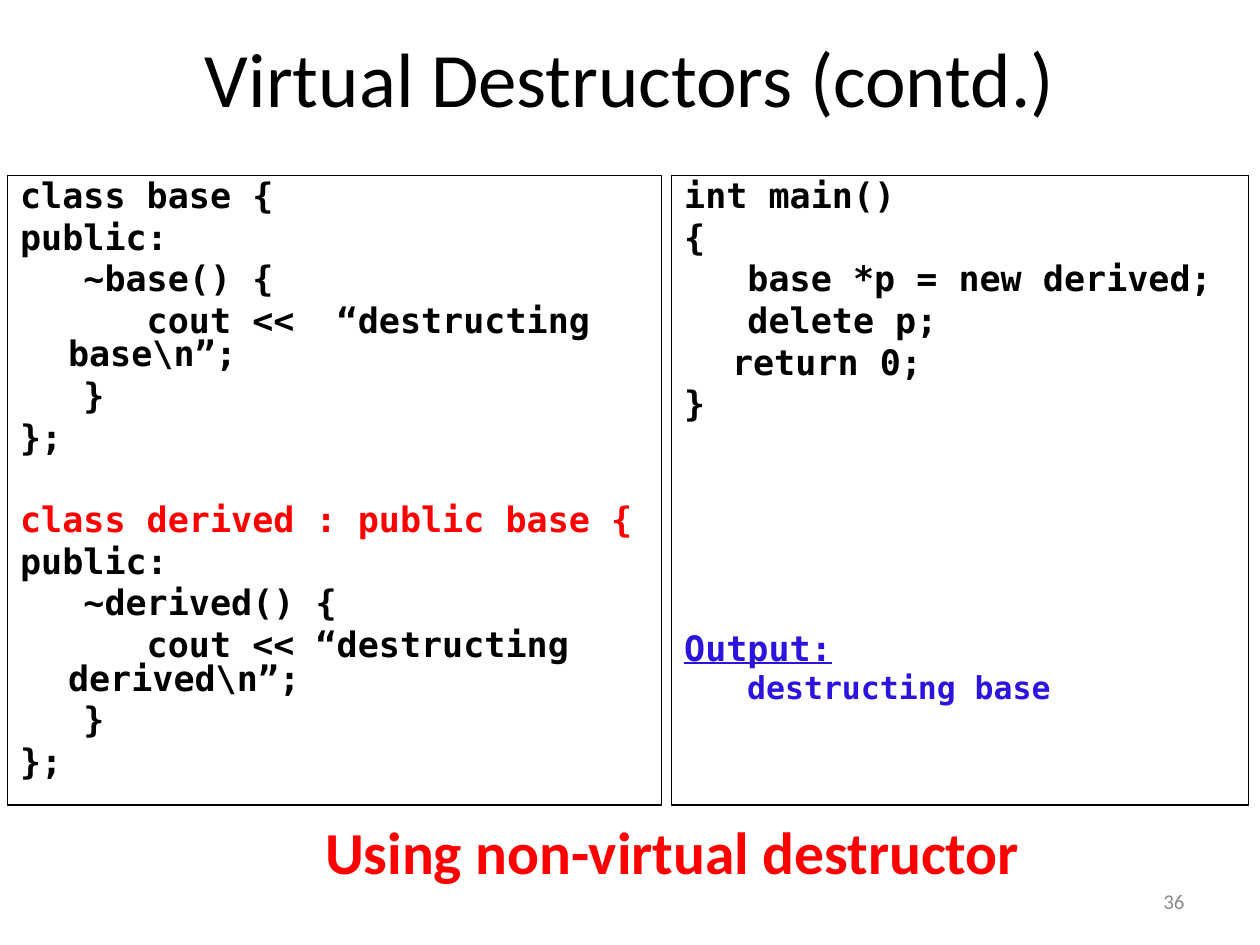
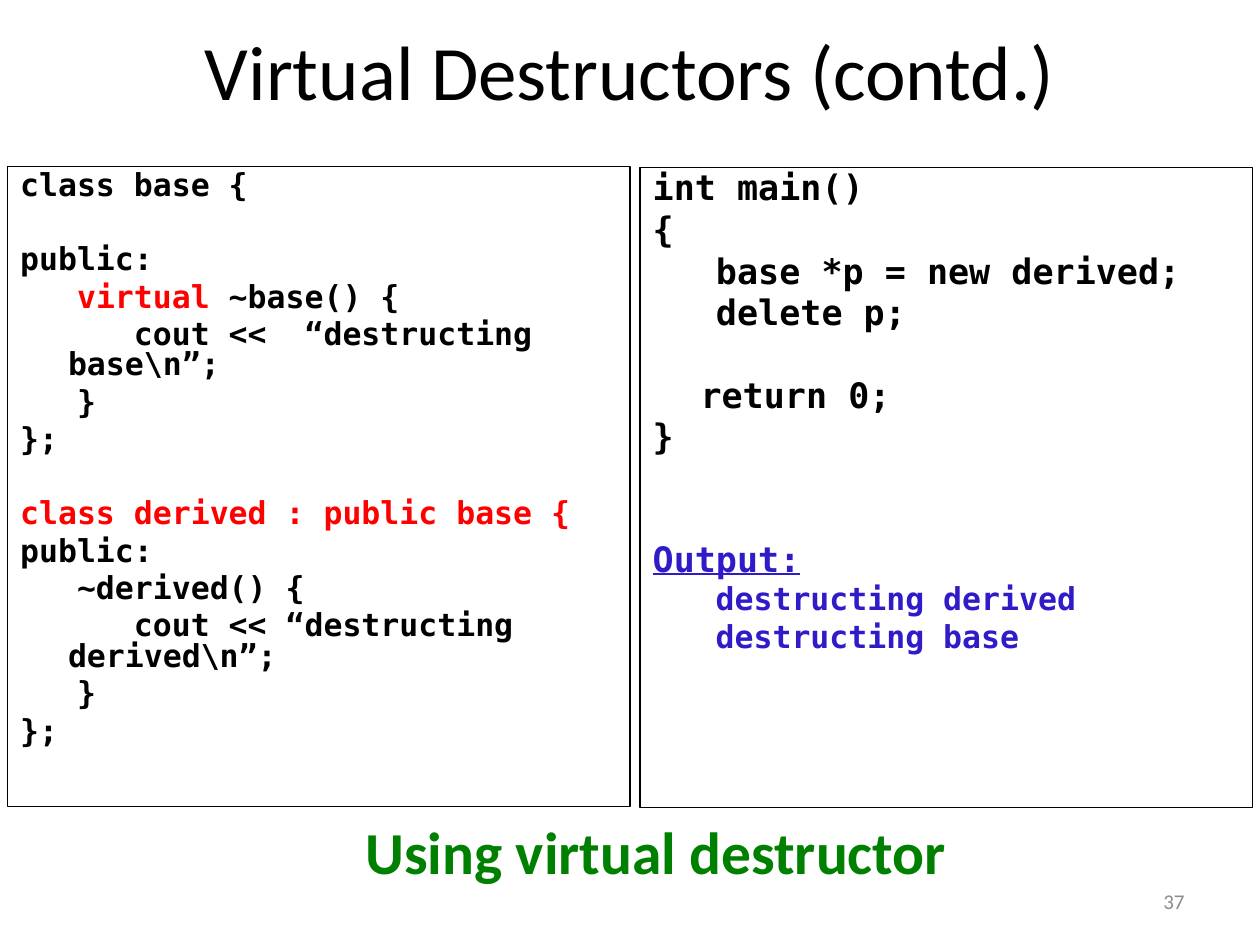
from dataclasses import dataclass, replace

from lxml import etree
from pptx import Presentation
from pptx import util as u
from pptx.dml import color
from pptx.enum import text
from pptx.oxml import ns


@dataclass(frozen=True)
class Theme:
    ink: str = "000000"
    red: str = "FF0000"
    green: str = "008000"
    grey: str = "8C8C8C"
    heading_face: str = "Calibri"
    code_face: str = "DejaVu Sans Mono"
    title_size: int = 44
    caption_size: int = 34
    code_size: int = 20
    small_code_size: int = 18
    number_size: int = 12
    border: float = 0.75
    leading: float = 0.8
    space_ratio: float = 0.23
    pitch_ratio: float = 1.16


THEME = Theme()


@dataclass(frozen=True)
class Line:
    segments: tuple
    size: int = THEME.code_size
    blank_above: int = 0
    level: int = 0
    underline: bool = False


@dataclass(frozen=True)
class Lesson:
    number: str
    title_top: float
    classes: list
    classes_box: tuple
    usage: list
    usage_box: tuple
    caption: str
    caption_color: str
    caption_box: tuple


def line(words, hue=THEME.ink, **extra):
    return Line(((words, hue),), **extra)


def apply(target, values):
    for name, value in values.items():
        setattr(target, name, value)


def place(region, box):
    sides = ("left", "top", "width", "height")
    apply(region, {side: u.Inches(length) for side, length in zip(sides, box)})


def add_run(paragraph, words, hue, face, size, **extra):
    run = paragraph.add_run()
    run.text = words
    apply(run.font, {"name": face, "size": u.Pt(size), **extra})
    run.font.color.rgb = color.RGBColor.from_string(hue)


def draw_title(slide, top):
    title = slide.shapes.title
    place(title, (0.5, top, 9, 1))
    apply(title.text_frame, {
        "auto_size": text.MSO_AUTO_SIZE.NONE,
        "vertical_anchor": text.MSO_ANCHOR.MIDDLE,
    })
    paragraph = title.text_frame.paragraphs[0]
    paragraph.alignment = text.PP_ALIGN.CENTER
    add_run(paragraph, "Virtual Destructors (contd.)", THEME.ink,
            THEME.heading_face, THEME.title_size)


def format_code_line(paragraph, entry, is_first):
    margin, hanging = ((0.38, -0.38), (0.81, -0.31))[entry.level]
    properties = paragraph._p.get_or_add_pPr()
    properties.set("marL", str(u.Inches(margin)))
    properties.set("indent", str(u.Inches(hanging)))
    etree.SubElement(properties, ns.qn("a:buNone"))
    ratio = THEME.space_ratio + entry.blank_above * THEME.pitch_ratio
    apply(paragraph, {
        "level": entry.level,
        "line_spacing": THEME.leading,
        "space_before": u.Pt(0 if is_first else round(entry.size * ratio, 1)),
    })


def draw_code(panel, box, listing):
    place(panel, box)
    panel.line.color.rgb = color.RGBColor.from_string(THEME.ink)
    panel.line.width = u.Pt(THEME.border)
    frame = panel.text_frame
    apply(frame, {
        "auto_size": text.MSO_AUTO_SIZE.NONE,
        "vertical_anchor": text.MSO_ANCHOR.TOP,
        "word_wrap": True,
    })
    for index, entry in enumerate(listing):
        paragraph = frame.add_paragraph() if index else frame.paragraphs[0]
        format_code_line(paragraph, entry, index == 0)
        for words, hue in entry.segments:
            add_run(paragraph, words, hue, THEME.code_face, entry.size,
                    bold=True, underline=entry.underline)


def draw_label(slide, box, words, hue, size, alignment, anchor, bold=False):
    label = slide.shapes.add_textbox(0, 0, 0, 0)
    place(label, box)
    apply(label.text_frame, {"word_wrap": True, "vertical_anchor": anchor})
    paragraph = label.text_frame.paragraphs[0]
    paragraph.alignment = alignment
    add_run(paragraph, words, hue, THEME.heading_face, size, bold=bold)


def draw_lesson(deck, lesson):
    slide = deck.slides.add_slide(deck.slide_layouts.get_by_name("Two Content"))
    draw_title(slide, lesson.title_top)
    draw_code(slide.placeholders[1], lesson.classes_box, lesson.classes)
    draw_code(slide.placeholders[2], lesson.usage_box, lesson.usage)
    draw_label(slide, lesson.caption_box, lesson.caption, lesson.caption_color,
               THEME.caption_size, text.PP_ALIGN.CENTER, text.MSO_ANCHOR.TOP, True)
    draw_label(slide, (7.17, 6.95, 2.33, 0.4), lesson.number, THEME.grey,
               THEME.number_size, text.PP_ALIGN.RIGHT, text.MSO_ANCHOR.MIDDLE)


def class_listing(destructor, public_gap, size):
    listing = [
        line("class base {"),
        line("public:", blank_above=public_gap),
        Line(destructor),
        line("      cout <<  “destructing base\\n”;"),
        line("   }"),
        line("};"),
        line("class derived : public base {", THEME.red, blank_above=1),
        line("public:"),
        line("   ~derived() {"),
        line("      cout << “destructing derived\\n”;"),
        line("   }"),
        line("};"),
    ]
    return [replace(entry, size=size) for entry in listing]


def usage_listing(return_gap, output_gap, output_color, outputs):
    return [
        line("int main()"),
        line("{"),
        line("   base *p = new derived;"),
        line("   delete p;"),
        line("\treturn 0;", blank_above=return_gap),
        line("}"),
        line("Output:", output_color, blank_above=output_gap, underline=True),
        *(line(output, output_color, size=THEME.small_code_size, level=1)
          for output in outputs),
    ]


LESSONS = [
    Lesson(
        number="36",
        title_top=0.11,
        classes=class_listing((("   ~base() {", THEME.ink),), 0, THEME.code_size),
        classes_box=(0.06, 1.39, 5.19, 5),
        usage=usage_listing(0, 5, "2C14DE", ["destructing base"]),
        usage_box=(5.33, 1.39, 4.58, 5),
        caption="Using non-virtual destructor",
        caption_color=THEME.red,
        caption_box=(2.41, 6.42, 5.85, 0.67),
    ),
    Lesson(
        number="37",
        title_top=0.05,
        classes=class_listing(
            (("   ", THEME.ink), ("virtual ", THEME.red), ("~base() {", THEME.ink)),
            1, THEME.small_code_size),
        classes_box=(0.06, 1.32, 4.94, 5.08),
        usage=usage_listing(1, 2, "2F1BC7",
                            ["destructing derived", "destructing base"]),
        usage_box=(5.08, 1.33, 4.86, 5.08),
        caption="Using virtual destructor",
        caption_color=THEME.green,
        caption_box=(2.33, 6.42, 5.75, 0.67),
    ),
]


def main():
    deck = Presentation()
    apply(deck, {"slide_width": u.Inches(10), "slide_height": u.Inches(7.5)})
    for lesson in LESSONS:
        draw_lesson(deck, lesson)
    deck.save("out.pptx")


if __name__ == "__main__":
    main()
